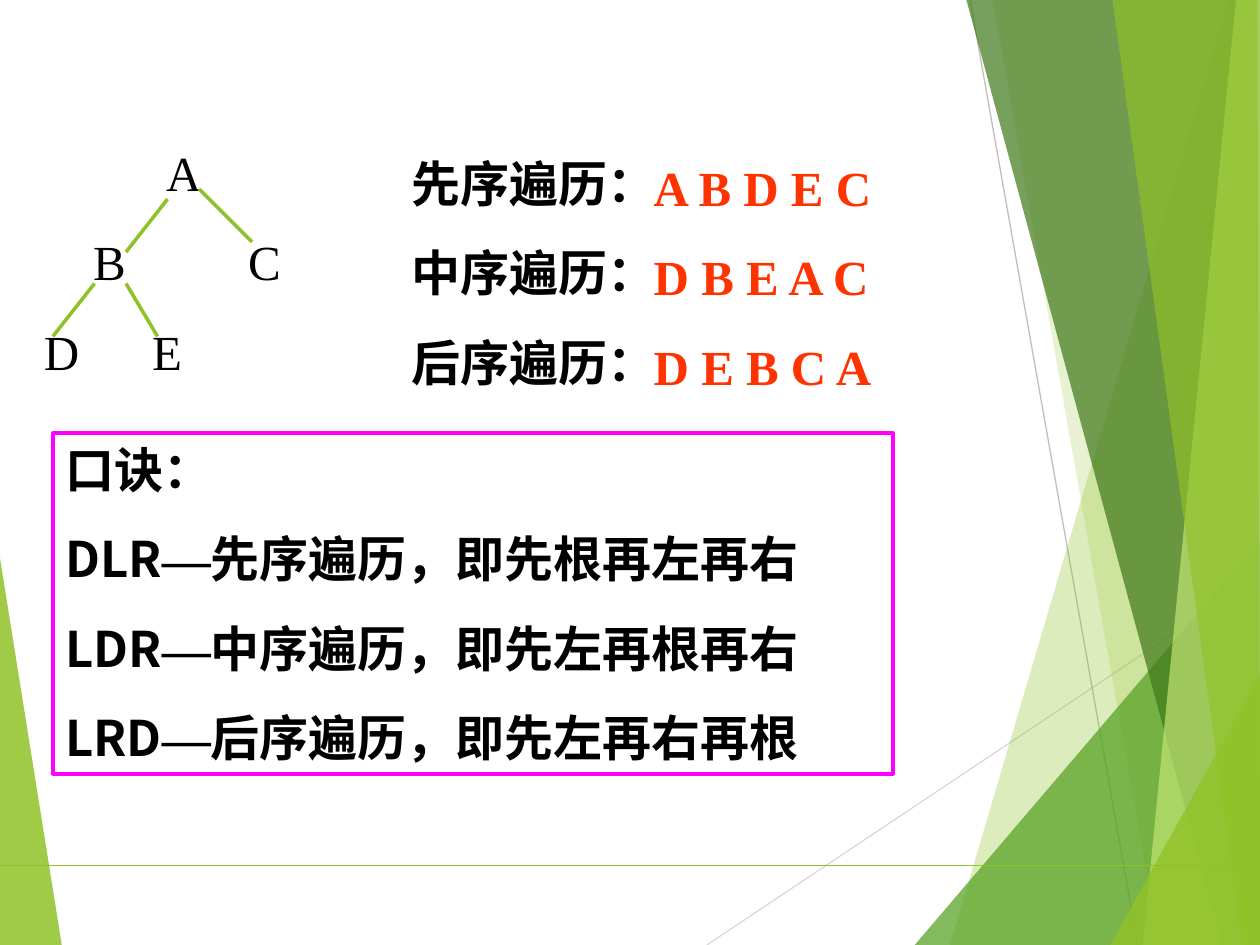
from dataclasses import dataclass

from lxml.etree import SubElement
from pptx import Presentation
from pptx.dml.color import RGBColor
from pptx.enum.shapes import MSO_CONNECTOR, MSO_SHAPE
from pptx.enum.text import MSO_ANCHOR, PP_ALIGN
from pptx.oxml.ns import qn
from pptx.util import Inches, Pt


@dataclass(frozen=True)
class Theme:
    text: str = "000000"
    answer: str = "FF3300"
    frame: str = "FF00FF"
    green: str = "90C226"
    latin: str = "Times New Roman"
    chinese: str = "Noto Sans CJK SC"
    size: float = 28
    leading: float = 33.6
    gap: float = 17.5


THEME = Theme()
WIDTH, HEIGHT = 10, 7.5

# Corner points, colour, opacity in percent
FACETS = [
    ([(0, 4.43), (0.49, HEIGHT), (0, HEIGHT)], THEME.green, 85),
    ([(9.75, 0), (7.54, HEIGHT), (WIDTH, HEIGHT), (WIDTH, 0)], THEME.green, 30),
    ([(7.88, 0), (9.2, HEIGHT), (WIDTH, HEIGHT), (WIDTH, 0)], THEME.green, 20),
    ([(7.26, HEIGHT), (WIDTH, 4.29), (WIDTH, HEIGHT)], "54A021", 72),
    ([(7.67, 0), (9.7, HEIGHT), (WIDTH, HEIGHT), (WIDTH, 0)], "3F7819", 70),
    ([(9.81, 0), (9.07, HEIGHT), (WIDTH, HEIGHT), (WIDTH, 0)], "C0E474", 70),
    ([(8.83, 0), (9.86, HEIGHT), (WIDTH, HEIGHT), (9.98, 0)], THEME.green, 65),
    ([(8.81, HEIGHT), (WIDTH, 5.36), (WIDTH, HEIGHT)], THEME.green, 80),
]
# Start, end, colour, width
RAYS = [
    ((5.61, HEIGHT), (WIDTH, 4.57), "D9D9D9", 0.75),
    ((7.7, 0), (9.03, HEIGHT), "BFBFBF", 0.75),
]
BASELINE = ((0, 6.87), (WIDTH, 6.87), THEME.green, 0.75)
BRANCHES = [
    ((1.33, 1.58), (1, 2)),
    ((1.58, 1.5), (2, 1.92)),
    ((1, 2.25), (1.25, 2.67)),
    ((0.75, 2.25), (0.42, 2.67)),
]

# Each tree level: its text and the tab stops that place its nodes
TREE = [("\tA", [0.97]), ("\tB\tC", [0.39, 1.62]), ("D\tE", [0.86])]
TRAVERSALS = [
    ("先序遍历：", "A B D E C"),
    ("中序遍历：", "D B E A C"),
    ("后序遍历：", "D E B C A"),
]
MNEMONIC_TITLE = "口诀："
MNEMONICS = [
    ("DLR", "先序遍历，即先根再左再右"),
    ("LDR", "中序遍历，即先左再根再右"),
    ("LRD", "后序遍历，即先左再右再根"),
]


def rgb(color):
    return RGBColor.from_string(color)


def add_facet(shapes, corners, color, opacity):
    points = [(Inches(x), Inches(y)) for x, y in corners]
    builder = shapes.build_freeform(*points[0])
    builder.add_line_segments(points[1:], close=True)
    facet = builder.convert_to_shape()
    facet.shadow.inherit = False
    facet.line.fill.background()
    facet.fill.solid()
    facet.fill.fore_color.rgb = rgb(color)
    color_tag = next(facet.fill._xPr.iter(qn("a:srgbClr")))
    SubElement(color_tag, qn("a:alpha"), val=str(opacity * 1000))


def add_line(shapes, start, end, color, width):
    ends = [Inches(value) for value in (*start, *end)]
    line = shapes.add_connector(MSO_CONNECTOR.STRAIGHT, *ends)
    line.line.color.rgb = rgb(color)
    line.line.width = Pt(width)
    SubElement(line._element.spPr, qn("a:effectLst"))


def write_lines(frame, lines, color=THEME.text, bold=True,
                align=PP_ALIGN.LEFT, tab_stops=()):
    """Write one paragraph per line; a line is a list of (text, font) runs."""
    frame.word_wrap = True
    frame.vertical_anchor = MSO_ANCHOR.TOP
    for row, runs in enumerate(lines):
        paragraph = frame.add_paragraph() if row else frame.paragraphs[0]
        paragraph.alignment = align
        paragraph.line_spacing = Pt(THEME.leading)
        paragraph.space_before = Pt(THEME.gap if row else 0)
        if tab_stops:
            tabs = SubElement(paragraph._p.get_or_add_pPr(), qn("a:tabLst"))
            for stop in tab_stops[row]:
                SubElement(tabs, qn("a:tab"), pos=str(Inches(stop)), algn="l")
        for text, face in runs:
            run = paragraph.add_run()
            run.text = text
            run.font.size = Pt(THEME.size)
            run.font.bold = bold
            run.font.color.rgb = rgb(color)
            run.font.name = face
            SubElement(run.font._element, qn("a:ea"), typeface=THEME.chinese)


def add_text(shapes, left, top, width, height, lines, **style):
    box = shapes.add_textbox(*map(Inches, (left, top, width, height)))
    write_lines(box.text_frame, lines, **style)


def main():
    deck = Presentation()
    deck.slide_width, deck.slide_height = Inches(WIDTH), Inches(HEIGHT)
    shapes = deck.slides.add_slide(deck.slide_layouts[6]).shapes

    add_facet(shapes, *FACETS[0])
    for ray in RAYS:
        add_line(shapes, *ray)
    for facet in FACETS[1:]:
        add_facet(shapes, *facet)
    add_line(shapes, *BASELINE)

    add_text(shapes, 3.17, 1.17, 2.23, 1.99,
             [[(name, THEME.latin)] for name, _ in TRAVERSALS],
             align=PP_ALIGN.JUSTIFY)
    add_text(shapes, 0.25, 1.08, 2.75, 1.99,
             [[(level, THEME.latin)] for level, _ in TREE],
             bold=False, tab_stops=[stops for _, stops in TREE])
    for start, end in BRANCHES:
        add_line(shapes, start, end, THEME.green, 2)
    add_text(shapes, 5.09, 1.2, 2, 1.99,
             [[(order, THEME.latin)] for _, order in TRAVERSALS],
             color=THEME.answer)

    mnemonic = shapes.add_shape(MSO_SHAPE.RECTANGLE,
                                *map(Inches, (0.42, 3.44, 6.67, 2.7)))
    mnemonic.shadow.inherit = False
    mnemonic.fill.background()
    mnemonic.line.color.rgb = rgb(THEME.frame)
    mnemonic.line.width = Pt(2.25)
    rules = [[(code, THEME.chinese), ("—", THEME.latin), (rule, THEME.chinese)]
             for code, rule in MNEMONICS]
    write_lines(mnemonic.text_frame, [[(MNEMONIC_TITLE, THEME.chinese)], *rules])

    deck.save("out.pptx")


if __name__ == "__main__":
    main()
